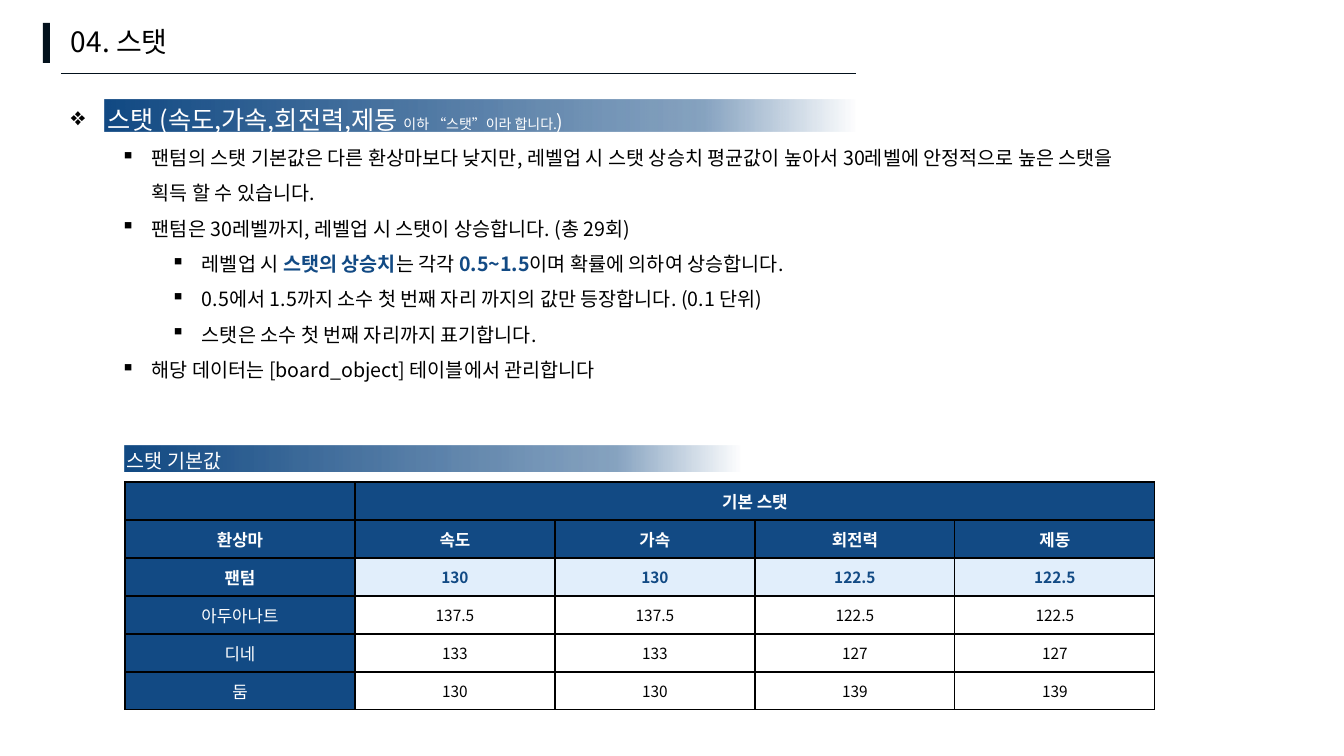
from lxml import etree
from pptx import Presentation
from pptx.dml.color import RGBColor
from pptx.enum.shapes import MSO_CONNECTOR, MSO_SHAPE
from pptx.enum.text import MSO_ANCHOR, MSO_AUTO_SIZE, PP_ALIGN
from pptx.oxml.ns import qn
from pptx.util import Pt

RECTANGLE, STRAIGHT = MSO_SHAPE.RECTANGLE, MSO_CONNECTOR.STRAIGHT
MIDDLE, CENTER = MSO_ANCHOR.MIDDLE, PP_ALIGN.CENTER
GROW = MSO_AUTO_SIZE.SHAPE_TO_FIT_TEXT

THEME = {
    "font": "Noto Sans CJK KR",
    "color": {"ink": "000000", "white": "FFFFFF", "navy": "124A84",
              "dark": "03111C", "pale": "E1EEFB"},
    "size": {"title": 20, "heading": 18, "body": 14, "note": 10,
             "label": 12, "value": 11},
}

# Each run: text, size, color, bold
TITLE = [("04. 스탯", "title", "ink", False)]
TABLE_CAPTION = [("스탯 기본값", "body", "white", False)]


def body(text):
    return (text, "body", "ink", False)


def accent(text):
    return (text, "body", "navy", True)


# Each item: level, runs
RULES = [
    (0, [(" ", "heading", "ink", False),
         ("스탯 (속도,가속,회전력,제동 ", "heading", "white", False),
         ("이하 “스탯”이라 합니다.", "note", "white", False),
         (")", "body", "white", False)]),
    (1, [body("팬텀의 스탯 기본값은 다른 환상마보다 낮지만, 레벨업 시 스탯 상승치 평균값이 "
              "높아서 30레벨에 안정적으로 높은 스탯을\n획득 할 수 있습니다.")]),
    (1, [body("팬텀은 30레벨까지, 레벨업 시 스탯이 상승합니다. (총 29회)")]),
    (2, [body("레벨업 시 "), accent("스탯의 상승치"), body("는 각각 "),
         accent("0.5~1.5"), body("이며 확률에 의하여 상승합니다.")]),
    (2, [body("0.5에서 1.5까지 소수 첫 번째 자리 까지의 값만 등장합니다. (0.1 단위)")]),
    (2, [body("스탯은 소수 첫 번째 자리까지 표기합니다.")]),
    (1, [body("해당 데이터는 [board_object] 테이블에서 관리합니다")]),
]
BULLETS = ["❖", "▪", "▪"]

STATS = [
    ["", "기본 스탯", "", "", ""],
    ["환상마", "속도", "가속", "회전력", "제동"],
    ["팬텀", "130", "130", "122.5", "122.5"],
    ["아두아나트", "137.5", "137.5", "122.5", "122.5"],
    ["디네", "133", "133", "127", "127"],
    ["둠", "130", "130", "139", "139"],
]
HEADER_ROWS, PHANTOM_ROW = 2, 2

# Geometry in px: left, top, width, height
SLIDE = (1344, 756)
HEADING_BAND = (105, 100, 751, 31)
CAPTION_BAND = (125, 446, 615, 26)
TITLE_MARK = (43, 23, 7, 40)
TITLE_BOX = (61, 20, 473, 44)
TITLE_RULE = (61, 73, 856, 73)
RULES_BOX = (61, 84, 1114, 337)
CAPTION_BOX = (117, 432, 440, 41)
TABLE_AT = (125, 482)
NAME_WIDTH, STAT_WIDTH, ROW_HEIGHT = 230, 200, 38
HANGING, LEVEL_STEP = 31, 50

EMU_PER_PX = 914400 / 100.8


def px(*lengths):
    return [round(length * EMU_PER_PX) for length in lengths]


def rgb(name):
    return RGBColor.from_string(THEME["color"][name])


def add_child(parent, tag, **attributes):
    return etree.SubElement(parent, qn(tag), attributes)


def add_bar(slide, place, color):
    bar = slide.shapes.add_shape(RECTANGLE, *px(*place))
    bar.shadow.inherit = False
    bar.line.fill.background()
    bar.fill.solid()
    bar.fill.fore_color.rgb = rgb(color)
    return bar


def add_fading_band(slide, place):
    """Navy bar that turns transparent towards its right end."""
    properties = add_bar(slide, place, "navy")._element.spPr
    gradient = etree.Element(qn("a:gradFill"), rotWithShape="1")
    stops = add_child(gradient, "a:gsLst")
    for position, opacity in ((0, 0), (20, 50), (100, 100)):
        stop = add_child(stops, "a:gs", pos=str(position * 1000))
        color = add_child(stop, "a:srgbClr", val=THEME["color"]["navy"])
        add_child(color, "a:alpha", val=str(opacity * 1000))
    add_child(gradient, "a:lin", ang=str(180 * 60000), scaled="0")
    properties.replace(properties.find(qn("a:solidFill")), gradient)


def write_runs(paragraph, runs):
    for text, size, color, bold in runs:
        for index, line in enumerate(text.split("\n")):
            if index:
                paragraph.add_line_break()
            run = paragraph.add_run()
            run.text = line
            formats = {"size": Pt(THEME["size"][size]), "bold": bold,
                       "name": THEME["font"]}
            for attribute, value in formats.items():
                setattr(run.font, attribute, value)
            run.font.color.rgb = rgb(color)
            add_child(run._r.get_or_add_rPr(), "a:ea", typeface=THEME["font"])


def add_text_frame(slide, place):
    frame = slide.shapes.add_textbox(*px(*place)).text_frame
    frame.word_wrap = True
    frame.auto_size = GROW
    return frame


def add_rules(slide):
    frame = add_text_frame(slide, RULES_BOX)
    for index, (level, runs) in enumerate(RULES):
        paragraph = frame.add_paragraph() if index else frame.paragraphs[0]
        paragraph.level = level
        paragraph.line_spacing = 1.5
        properties = paragraph._p.get_or_add_pPr()
        margin, indent = px(HANGING + level * LEVEL_STEP, -HANGING)
        properties.set("marL", str(margin))
        properties.set("indent", str(indent))
        add_child(properties, "a:buChar", char=BULLETS[level])
        write_runs(paragraph, runs)


def add_borders(cell):
    properties = cell._tc.get_or_add_tcPr()
    for index, side in enumerate(("a:lnL", "a:lnR", "a:lnT", "a:lnB")):
        border = etree.Element(qn(side), w=str(Pt(1)))
        fill = add_child(border, "a:solidFill")
        add_child(fill, "a:srgbClr", val=THEME["color"]["ink"])
        properties.insert(index, border)


def cell_look(row, column):
    """Return fill, size, text color and bold for a place in the table."""
    if row < HEADER_ROWS or column == 0:
        return "navy", "label", "white", row <= PHANTOM_ROW
    if row == PHANTOM_ROW:
        return "pale", "value", "navy", True
    return "white", "value", "ink", False


def add_stats(slide):
    rows, columns = len(STATS), len(STATS[0])
    width = NAME_WIDTH + (columns - 1) * STAT_WIDTH
    table = slide.shapes.add_table(
        rows, columns, *px(*TABLE_AT, width, rows * ROW_HEIGHT)).table
    table.first_row = table.horz_banding = False
    for index, column in enumerate(table.columns):
        column.width = px(STAT_WIDTH if index else NAME_WIDTH)[0]
    for row, texts in enumerate(STATS):
        table.rows[row].height = px(ROW_HEIGHT)[0]
        for column, text in enumerate(texts):
            cell = table.cell(row, column)
            fill, size, color, bold = cell_look(row, column)
            cell.fill.solid()
            cell.fill.fore_color.rgb = rgb(fill)
            cell.vertical_anchor = MIDDLE
            add_borders(cell)
            paragraph = cell.text_frame.paragraphs[0]
            paragraph.alignment = CENTER
            if text:
                write_runs(paragraph, [(text, size, color, bold)])
            else:
                add_child(paragraph._p, "a:endParaRPr",
                          sz=str(THEME["size"][size] * 100))
    table.cell(0, 1).merge(table.cell(0, columns - 1))


def main():
    deck = Presentation()
    deck.slide_width, deck.slide_height = px(*SLIDE)
    slide = deck.slides.add_slide(deck.slide_layouts[6])
    for band in (HEADING_BAND, CAPTION_BAND):
        add_fading_band(slide, band)
    add_bar(slide, TITLE_MARK, "dark")
    write_runs(add_text_frame(slide, TITLE_BOX).paragraphs[0], TITLE)
    rule = slide.shapes.add_connector(STRAIGHT, *px(*TITLE_RULE))
    rule.line.color.rgb = rgb("dark")
    rule.line.width = Pt(0.25)
    add_child(rule._element.spPr, "a:effectLst")
    add_rules(slide)
    add_stats(slide)
    caption = add_text_frame(slide, CAPTION_BOX).paragraphs[0]
    caption.line_spacing = 1.5
    write_runs(caption, TABLE_CAPTION)
    deck.save("out.pptx")


if __name__ == "__main__":
    main()
